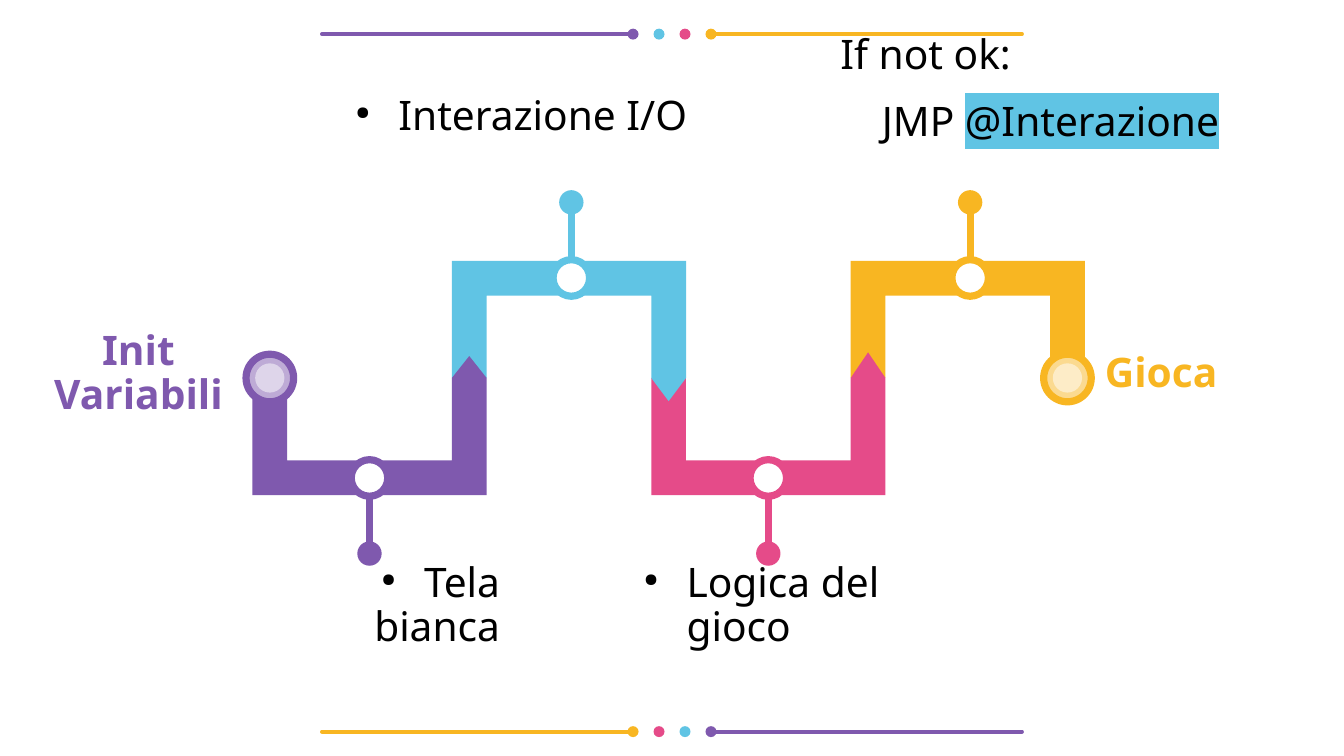
"""Build a four-step game flow slide with a winding path and labels."""
import pptx
import pptx.dml.color
import pptx.enum.shapes
import pptx.enum.text
import pptx.oxml
import pptx.oxml.ns
import pptx.util
from lxml import etree

RGBColor = pptx.dml.color.RGBColor
PURPLE = RGBColor(0x7F, 0x59, 0xAE)
CYAN = RGBColor(0x60, 0xC4, 0xE4)
PINK = RGBColor(0xE5, 0x4B, 0x89)
YELLOW = RGBColor(0xF8, 0xB6, 0x22)
WHITE = RGBColor(0xFF, 0xFF, 0xFF)
BLACK = RGBColor(0, 0, 0)
COLOURS = [PURPLE, CYAN, PINK, YELLOW]

Inches, Pt = pptx.util.Inches, pptx.util.Pt
qn = pptx.oxml.ns.qn
ALIGN, ANCHOR = pptx.enum.text.PP_ALIGN, pptx.enum.text.MSO_ANCHOR
WIDTH, HEIGHT = 11.02, 6.2
FONT = "Noto Sans"

prs = pptx.Presentation()
prs.slide_width, prs.slide_height = Inches(WIDTH), Inches(HEIGHT)
s = prs.slides.add_slide(prs.slide_layouts[6])


def circle(cx, cy, size, fill, line=None, alpha=None):
    sp = s.shapes.add_shape(pptx.enum.shapes.MSO_SHAPE.OVAL, Inches(cx - size / 2),
                            Inches(cy - size / 2), Inches(size), Inches(size))
    sp.shadow.inherit = False
    sp.fill.solid()
    sp.fill.fore_color.rgb = fill
    if line is None:
        sp.line.fill.background()
    else:
        sp.line.color.rgb = line
        sp.line.width = Pt(4.25)
    if alpha:
        clr = sp.fill._xPr.find(".//" + qn("a:srgbClr"))
        etree.SubElement(clr, qn("a:alpha"), val=str(alpha * 1000))


def line(x1, y1, x2, y2, colour, width):
    c = s.shapes.add_connector(pptx.enum.shapes.MSO_CONNECTOR.STRAIGHT,
                               Inches(x1), Inches(y1), Inches(x2), Inches(y2))
    c.line.color.rgb = colour
    c.line.width = Pt(width)
    c.line._ln.set("cap", "rnd" if width < 4 else "flat")
    etree.SubElement(c._element.spPr, qn("a:effectLst"))


RULE, DOT_GAP = 2.56, 0.213
for y, colours in [(0.28, COLOURS), (6, [YELLOW, PINK, CYAN, PURPLE])]:
    line(2.64, y, 2.64 + RULE, y, colours[0], 2.27)
    line(8.38 - RULE, y, 8.38, y, colours[3], 2.27)
    for i, colour in enumerate(colours):
        circle(WIDTH / 2 + (i - 1.5) * DOT_GAP, y, 0.09, colour)

LEFT, MID, PITCH, BAR, HALF = 2.07, 3.1, 1.635, 0.285, 0.96
TIPS = [0.18, 0.19, 0.21, 0]
for i in reversed(range(4)):
    colour, x = COLOURS[i], LEFT + i * PITCH
    down = 1 if i % 2 == 0 else -1
    outer, inner = MID + down * HALF, MID + down * (HALF - BAR)
    right = x + PITCH + BAR
    points = [(x, MID), (x, outer), (right, outer), (right, MID),
              (right - BAR / 2, MID - down * TIPS[i]), (x + PITCH, MID),
              (x + PITCH, inner), (x + BAR, inner), (x + BAR, MID)]
    points = [(Inches(px), Inches(py)) for px, py in points]
    fb = s.shapes.build_freeform(*points[0])
    fb.add_line_segments(points[1:])
    sp = fb.convert_to_shape()
    sp.shadow.inherit = False
    sp.fill.solid()
    sp.fill.fore_color.rgb = colour
    sp.line.fill.background()

    cx = x + (0.96 if down == 1 else 0.98)
    line(cx, outer, cx, outer + down * HALF / 2, colour, 4.25)
    circle(cx, outer + down * HALF / 2, 0.2, colour)
    circle(cx, MID + down * 0.82, 0.3, WHITE, colour)

for column, colour in [(0, PURPLE), (4, YELLOW)]:
    cx = LEFT + column * PITCH + BAR / 2
    circle(cx, MID, 0.39, WHITE, colour)
    circle(cx, MID, 0.39, colour, alpha=50)
    circle(cx, MID, 0.24, WHITE, alpha=50)

LABELS = [
    (1.93, 4.61, 2.17, 1.36, ["Tela bianca"], ALIGN.RIGHT, ANCHOR.TOP, BLACK, True),
    (5.16, 4.61, 2.17, 1.36, ["Logica del gioco"], ALIGN.LEFT, ANCHOR.TOP, BLACK, True),
    (2.76, 0.28, 2.91, 1.36, ["Interazione I/O"], ALIGN.CENTER, ANCHOR.MIDDLE, BLACK, True),
    (6.89, 0.28, 3.15, 1.36, ["If not ok:", "JMP "], ALIGN.LEFT, ANCHOR.TOP, BLACK, False),
    (0.35, 2.48, 1.57, 1.18, ["Init", "Variabili"], ALIGN.CENTER, ANCHOR.MIDDLE, PURPLE, False),
    (9.06, 2.48, 1.57, 1.18, ["Gioca"], ALIGN.LEFT, ANCHOR.MIDDLE, YELLOW, False),
]
for x, y, w, h, texts, align, anchor, colour, bullet in LABELS:
    tf = s.shapes.add_textbox(Inches(x), Inches(y), Inches(w), Inches(h)).text_frame
    tf.word_wrap = True
    tf.vertical_anchor = anchor
    tf.margin_left = tf.margin_right = tf.margin_top = tf.margin_bottom = 0
    tf.text = "\n".join(texts)
    for p in tf.paragraphs:
        p.alignment = align
        p.line_spacing = 0.9
        pPr = p._p.get_or_add_pPr()
        if bullet:
            pPr.set("marL", str(Inches(0.47)))
            pPr.set("indent", str(Inches(-0.35)))
            clr = etree.SubElement(pPr, qn("a:buClr"))
            etree.SubElement(clr, qn("a:srgbClr"), val=str(BLACK))
            etree.SubElement(pPr, qn("a:buSzPct"), val="45000")
            etree.SubElement(pPr, qn("a:buChar"), char="●")
        if p.text == "JMP ":
            pPr.set("marL", str(Inches(0.34)))
            p.space_before = Pt(14.1)
            p.add_run().text = "@Interazione"
        for r in p.runs:
            r.font.size = Pt(24)
            r.font.bold = colour != BLACK
            r.font.color.rgb = colour
            if r.text.startswith("@"):
                mark = etree.SubElement(r._r.get_or_add_rPr(), qn("a:highlight"))
                etree.SubElement(mark, qn("a:srgbClr"), val=str(CYAN))
            r.font.name = FONT

prs.save("out.pptx")
